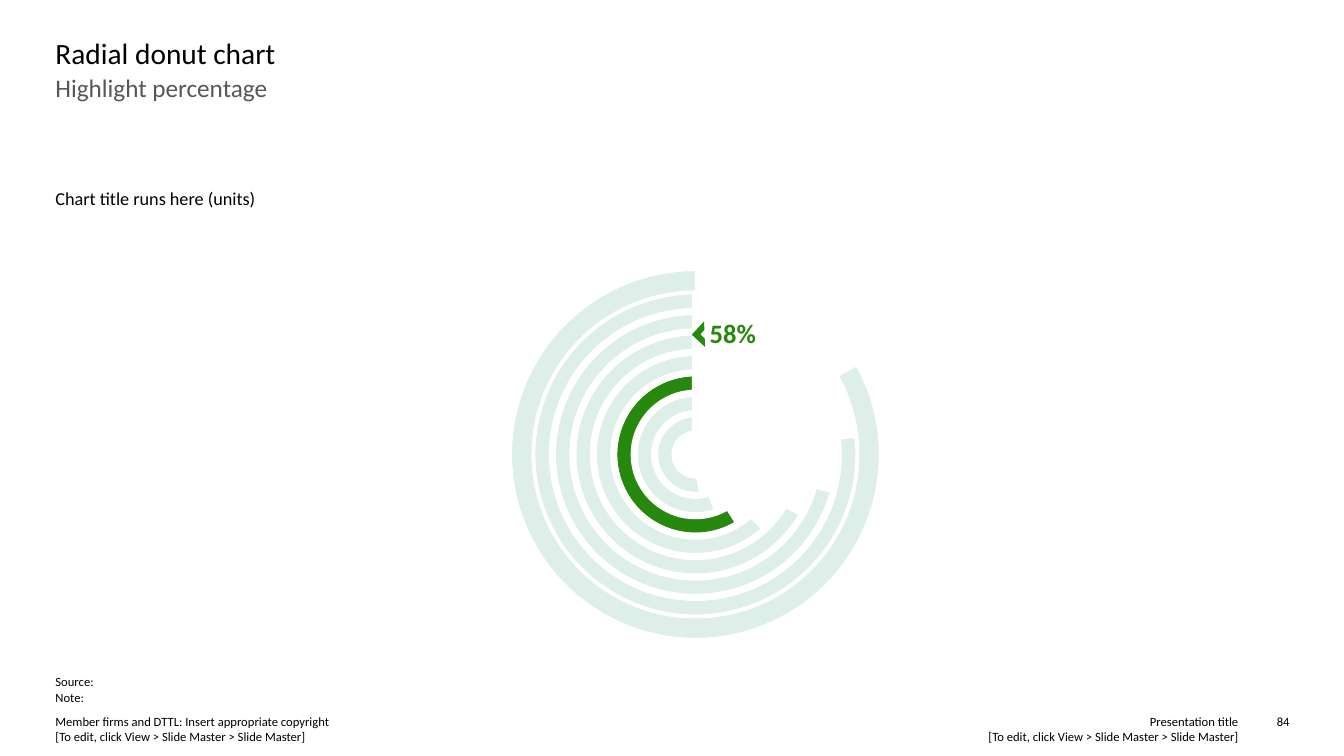
from dataclasses import dataclass

from lxml import etree
from pptx import Presentation
from pptx.chart.data import CategoryChartData
from pptx.dml.color import RGBColor
from pptx.enum.chart import XL_CHART_TYPE
from pptx.enum.shapes import MSO_SHAPE
from pptx.enum.text import PP_ALIGN
from pptx.oxml.ns import qn
from pptx.util import Inches, Pt

DOUGHNUT = XL_CHART_TYPE.DOUGHNUT
HALF_FRAME = MSO_SHAPE.HALF_FRAME
LEFT, RIGHT = PP_ALIGN.LEFT, PP_ALIGN.RIGHT
COLUMNS, ROWS = 40, 30
COLUMN, ROW = Inches(13.333) / COLUMNS, Inches(7.5) / ROWS
MARGIN, CONTENT_WIDTH = 1.65, 36.73


@dataclass(frozen=True)
class Theme:
    """Colours, font and type sizes of the slide."""
    font: str = "Calibri"
    black: str = "000000"
    grey: str = "575757"
    white: str = "FFFFFF"
    highlight: str = "26890D"
    start: str = "43B02A"
    ring: str = "DDEFE8"
    title: int = 21
    label: int = 19
    subtitle: int = 18
    chart_title: int = 13
    axis: int = 10
    small: int = 9
    ring_gap: float = 5
    outer_line: float = 0.75


THEME = Theme()
PERCENTAGES = (53, 56, 59, 62, 67, 71, 77, 83)
HIGHLIGHTED = 2
EDIT_HINT = "[To edit, click View > Slide Master > Slide Master]"


def rgb(value):
    """Turn a hex string into a colour."""
    return RGBColor.from_string(value)


def place(box):
    """Convert a box in columns and rows to slide lengths."""
    left, top, width, height = box
    return int(left * COLUMN), int(top * ROW), int(width * COLUMN), int(height * ROW)


def add_text(slide, box, text, size, color=THEME.black, align=LEFT, bold=False):
    """Add wrapped text without insets."""
    frame = slide.shapes.add_textbox(*place(box)).text_frame
    frame.word_wrap = True
    frame.margin_left = frame.margin_right = frame.margin_top = frame.margin_bottom = 0
    frame.text = text
    for paragraph in frame.paragraphs:
        paragraph.alignment = align
        for run in paragraph.runs:
            run.font.name = THEME.font
            run.font.size = Pt(size)
            run.font.bold = bold
            run.font.color.rgb = rgb(color)


def add_header(slide, box):
    """Add the title with its subtitle."""
    left, top, width, height = box
    title_height = 1.46
    add_text(slide, (left, top, width, title_height), "Radial donut chart", THEME.title)
    add_text(slide, (left, top + title_height, width, height - title_height),
             "Highlight percentage", THEME.subtitle, THEME.grey)


def set_plot_layout(chart, shares):
    """Fix the inner plot area as shares of the chart."""
    plot_area = chart.plots[0]._element.getparent()
    for old in plot_area.findall(qn("c:layout")):
        plot_area.remove(old)
    layout = etree.Element(qn("c:layout"))
    plot_area.insert(0, layout)
    manual = etree.SubElement(layout, qn("c:manualLayout"))
    settings = [("layoutTarget", "inner"), ("xMode", "edge"), ("yMode", "edge")]
    settings += zip("xywh", shares)
    for tag, value in settings:
        etree.SubElement(manual, qn(f"c:{tag}")).set("val", str(value))


def add_rings(slide, box):
    """Add one ring per percentage, the first one innermost."""
    data = CategoryChartData()
    data.categories = ["1", "2", "3"]
    for number, percentage in enumerate(PERCENTAGES, 1):
        data.add_series(f"Series {number}", (0, 100 - percentage, percentage))
    chart = slide.shapes.add_chart(DOUGHNUT, *place(box), data).chart
    chart.has_legend = chart.has_title = False
    chart.font.name = THEME.font
    chart.font.size = Pt(THEME.axis)
    chart.font.color.rgb = rgb(THEME.black)
    plot = chart.plots[0]
    plot.vary_by_categories = True
    plot._element.find(qn("c:holeSize")).set("val", "50")
    set_plot_layout(chart, (0.13, 0.1, 0.79, 0.82))
    for index, series in enumerate(plot.series):
        ring = THEME.highlight if index == HIGHLIGHTED else THEME.ring
        outermost = index == len(PERCENTAGES) - 1
        for position, color in enumerate((THEME.start, None, ring)):
            point = series.points[position].format
            point.line.color.rgb = rgb(THEME.white)
            point.line.width = Pt(THEME.outer_line if outermost else THEME.ring_gap)
            if color:
                point.fill.solid()
                point.fill.fore_color.rgb = rgb(color)
            else:
                point.fill.background()


def add_callout(slide, box):
    """Add the highlighted percentage with its pointer."""
    left, top, width, height = box
    pointer_width, pointer_height, indent = 0.54, 0.72, 0.42
    pointer = slide.shapes.add_shape(HALF_FRAME, *place(
        (left, top + (height - pointer_height) / 2, pointer_width, pointer_height)))
    pointer.rotation = 312.7
    pointer.shadow.inherit = False
    pointer.fill.solid()
    pointer.fill.fore_color.rgb = rgb(THEME.highlight)
    pointer.line.fill.background()
    add_text(slide, (left + indent, top, width - indent, height),
             "58%", THEME.label, THEME.highlight, bold=True)


def add_footer(slide, box):
    """Add the copyright line, presentation title and page number."""
    left, top, width, height = box
    page_width, title_width, gap = 1.02, 16.05, 0.51
    page_left = left + width - page_width
    add_text(slide, (left, top, 17.58, height),
             f"Member firms and DTTL: Insert appropriate copyright\v{EDIT_HINT}", THEME.small)
    add_text(slide, (page_left - gap - title_width, top, title_width, height),
             f"Presentation title\v{EDIT_HINT}", THEME.small, align=RIGHT)
    add_text(slide, (page_left, top, page_width, height / 2), "84", THEME.small, align=RIGHT)


def main():
    """Build and save the slide."""
    deck = Presentation()
    deck.slide_width, deck.slide_height = int(COLUMN * COLUMNS), int(ROW * ROWS)
    slide = deck.slides.add_slide(deck.slide_layouts[6])
    add_header(slide, (MARGIN, 1.4, CONTENT_WIDTH, 4.76))
    add_rings(slide, (6.24, 8.96, 27.54, 17.8))
    add_text(slide, (MARGIN, 7.44, 6.48, 1.56), "Chart title runs here (units)", THEME.chart_title)
    add_callout(slide, (20.7, 12.56, 2.88, 1.4))
    add_text(slide, (MARGIN, 26.76, CONTENT_WIDTH, 1.16), "Source:\nNote:", THEME.small)
    add_footer(slide, (MARGIN, 28.32, CONTENT_WIDTH, 1.2))
    deck.save("out.pptx")


if __name__ == "__main__":
    main()
